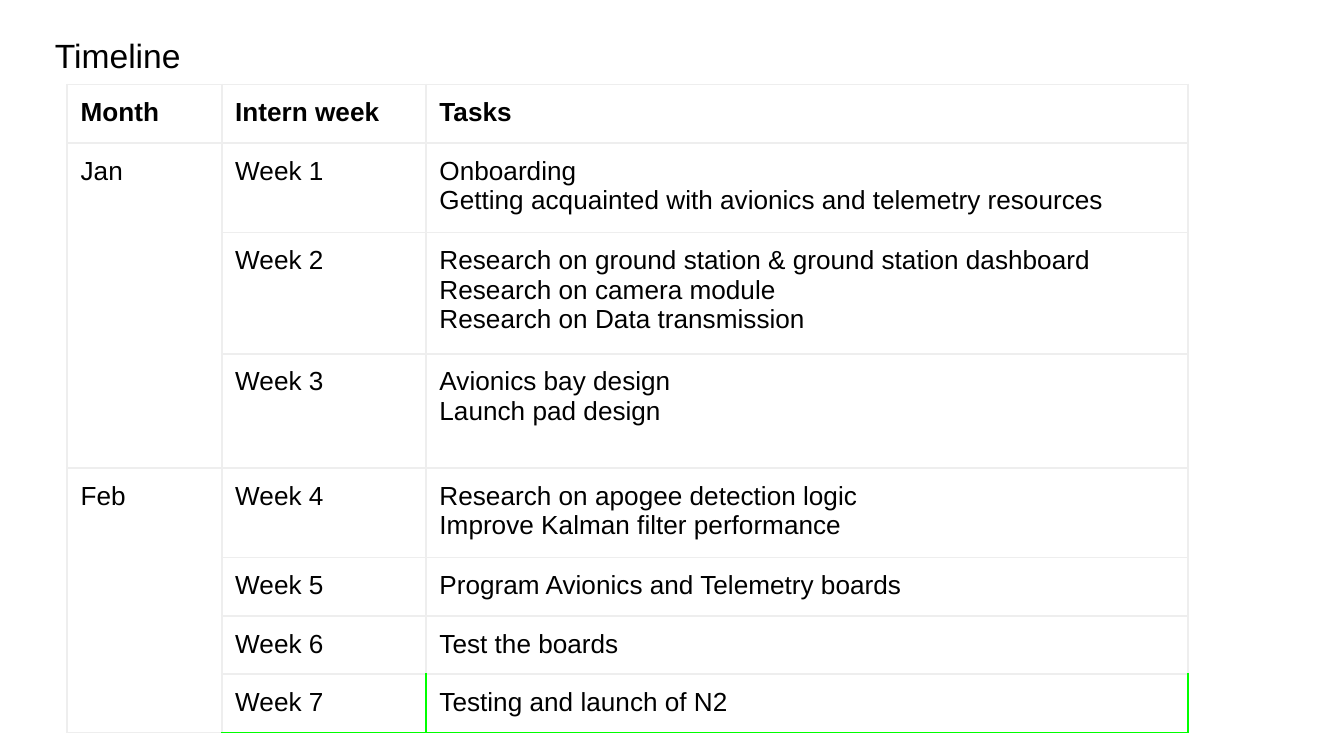
from dataclasses import dataclass

from lxml.etree import SubElement
from pptx import Presentation
from pptx.dml.color import RGBColor
from pptx.enum.text import MSO_ANCHOR
from pptx.oxml.ns import qn
from pptx.util import Inches, Pt


@dataclass(frozen=True)
class Theme:
    font: str = "Arial"
    ink: str = "000000"
    grid: str = "EEEEEE"
    highlight: str = "00FF00"
    title_size: int = 18
    body_size: int = 14


def write(frame, lines, size, bold=False):
    frame.text = "\n".join(lines)
    font_format = {"name": theme.font, "size": Pt(size), "bold": bold}
    for paragraph in frame.paragraphs:
        for run in paragraph.runs:
            for attribute, value in font_format.items():
                setattr(run.font, attribute, value)
            run.font.color.rgb = RGBColor.from_string(theme.ink)


def set_borders(cell, colors):
    properties = cell._tc.get_or_add_tcPr()
    for side in ("L", "R", "T", "B"):
        border = SubElement(properties, qn(f"a:ln{side}"), w=str(Pt(1)))
        fill = SubElement(border, qn("a:solidFill"))
        SubElement(fill, qn("a:srgbClr"), val=colors.get(side, theme.grid))


theme = Theme()
inset_format = {
    "margin_left": Inches(0.1),
    "margin_right": Inches(0.1),
    "margin_top": Inches(0.1),
    "margin_bottom": Inches(0.1),
    "vertical_anchor": MSO_ANCHOR.TOP,
}
header = ("Month", "Intern week", "Tasks")
weeks = [
    ("Jan", 0.66, ["Onboarding", "Getting acquainted with avionics and telemetry resources"]),
    ("Jan", 0.89, ["Research on ground station & ground station dashboard",
                   "Research on camera module", "Research on Data transmission"]),
    ("Jan", 0.85, ["Avionics bay design", "Launch pad design"]),
    ("Feb", 0.66, ["Research on apogee detection logic", "Improve Kalman filter performance"]),
    ("Feb", 0.43, ["Program Avionics and Telemetry boards"]),
    ("Feb", 0.43, ["Test the boards"]),
    ("Feb", 0.43, ["Testing and launch of N2"]),
]
column_widths = (1.15, 1.52, 5.67)
row_heights = [0.43] + [height for _, height, _ in weeks]
last_row = len(weeks)
launch_borders = {
    (last_row, 1): {"R": theme.highlight, "B": theme.highlight},
    (last_row, 2): {side: theme.highlight for side in "LRB"},
}

deck = Presentation()
deck.slide_width = Inches(10)
deck.slide_height = deck.slide_width * 9 // 16
slide = deck.slides.add_slide(deck.slide_layouts[6])

title = slide.shapes.add_textbox(Inches(0.31), Inches(0.16), Inches(8.75), Inches(0.36)).text_frame
title.word_wrap = True
for attribute, value in inset_format.items():
    setattr(title, attribute, value)
write(title, ["Timeline"], theme.title_size)

timeline = slide.shapes.add_table(
    len(row_heights), len(column_widths), Inches(0.5), Inches(0.63),
    Inches(sum(column_widths)), Inches(sum(row_heights)),
).table
timeline.first_row = False
timeline.horz_banding = False
for column, width in zip(timeline.columns, column_widths):
    column.width = Inches(width)
for row, height in zip(timeline.rows, row_heights):
    row.height = Inches(height)

for row in range(len(row_heights)):
    for column in range(len(column_widths)):
        cell = timeline.cell(row, column)
        for attribute, value in inset_format.items():
            setattr(cell, attribute, value)
        set_borders(cell, launch_borders.get((row, column), {}))
        cell.fill.background()

for column, heading in enumerate(header):
    write(timeline.cell(0, column).text_frame, [heading], theme.body_size, bold=True)
for number, (month, _, tasks) in enumerate(weeks, start=1):
    write(timeline.cell(number, 1).text_frame, [f"Week {number}"], theme.body_size)
    write(timeline.cell(number, 2).text_frame, tasks, theme.body_size)

months = [month for month, _, _ in weeks]
for month in ("Jan", "Feb"):
    first = months.index(month) + 1
    last = first + months.count(month) - 1
    timeline.cell(first, 0).merge(timeline.cell(last, 0))
    write(timeline.cell(first, 0).text_frame, [month], theme.body_size)

deck.save("out.pptx")
